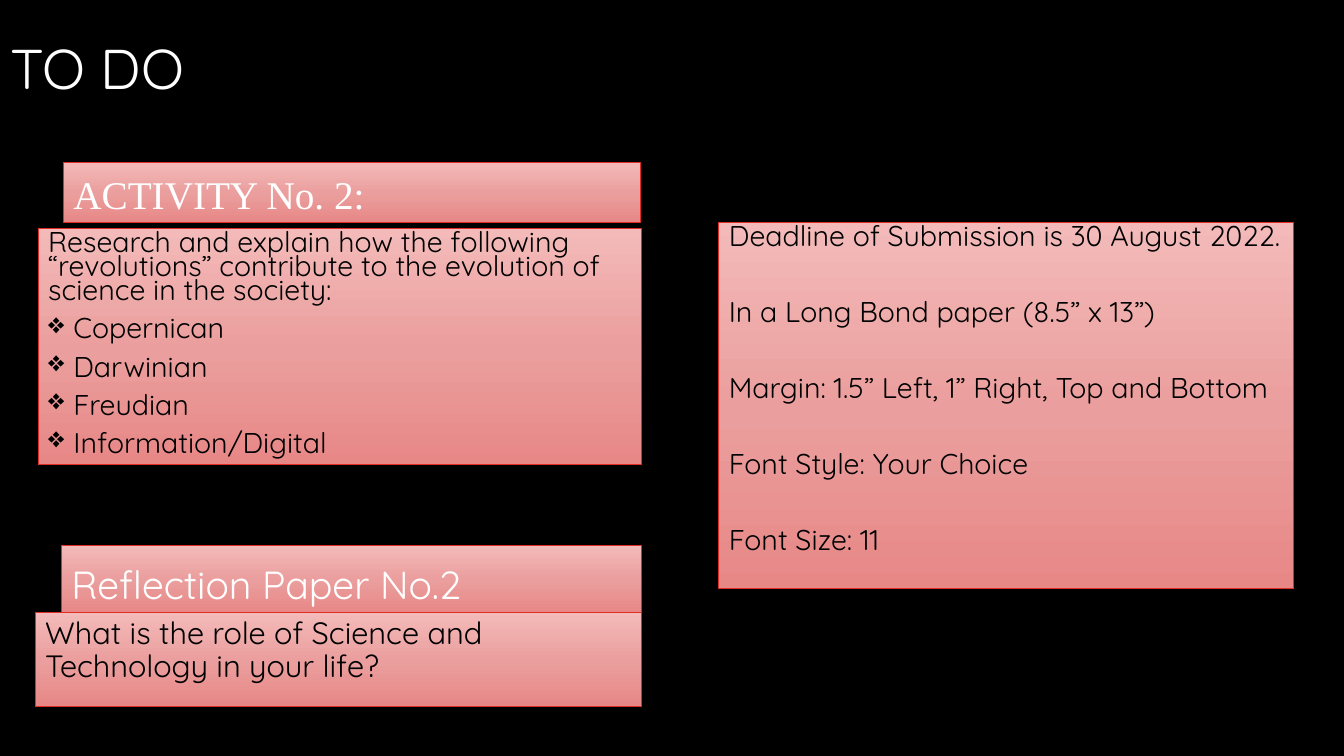
from copy import deepcopy

from lxml import etree
from pptx import Presentation
from pptx.dml.color import RGBColor
from pptx.enum import shapes, text
from pptx.oxml.ns import qn
from pptx.util import Inches, Pt

BLACK = RGBColor(0x00, 0x00, 0x00)
WHITE = RGBColor(0xFF, 0xFF, 0xFF)
RED = RGBColor(0xDF, 0x2E, 0x28)
PINKS = [
    (0, RGBColor(0xF3, 0xBA, 0xB9)),
    (0.52, RGBColor(0xEA, 0x9E, 0x9D)),
    (1, RGBColor(0xE7, 0x88, 0x87)),
]
BODY_FONT = "Quicksand"
SERIF_FONT = "Times New Roman"
TOP, MIDDLE, BOTTOM = (
    text.MSO_ANCHOR.TOP, text.MSO_ANCHOR.MIDDLE, text.MSO_ANCHOR.BOTTOM)


def fill_pink(panel):
    """Apply the three-stop gradient, running from top to bottom."""
    panel.fill.gradient()
    panel.fill.gradient_angle = 270
    stop_list = panel._element.spPr.find(".//" + qn("a:gsLst"))
    stop_list.append(deepcopy(stop_list[-1]))
    for stop, (position, color) in zip(panel.fill.gradient_stops, PINKS):
        stop.position = position
        stop.color.rgb = color


def add_panel(slide, left, top, width, height, anchor=TOP):
    """Add a pink panel and return its text frame."""
    panel = slide.shapes.add_shape(
        shapes.MSO_SHAPE.RECTANGLE,
        Inches(left), Inches(top), Inches(width), Inches(height))
    panel.shadow.inherit = False
    fill_pink(panel)
    panel.line.color.rgb = RED
    panel.line.width = Pt(0.75)
    frame = panel.text_frame
    frame.word_wrap = True
    frame.vertical_anchor = anchor
    return frame


def write(paragraph, words, size, color=BLACK, font=BODY_FONT,
          spacing=0.9, before=10):
    paragraph.alignment = text.PP_ALIGN.LEFT
    paragraph.line_spacing = spacing
    paragraph.space_before = Pt(before)
    run = paragraph.add_run()
    run.text = words
    run.font.name = font
    run.font.size = Pt(size)
    run.font.color.rgb = color


def add_bullet(paragraph, mark="❖"):
    properties = paragraph._p.get_or_add_pPr()
    properties.set("marL", str(Inches(0.25)))
    properties.set("indent", str(-Inches(0.25)))
    etree.SubElement(properties, qn("a:buChar")).set("char", mark)


def add_title(slide, words):
    title = slide.shapes.title
    title.left, title.top = Inches(0), Inches(0)
    title.width, title.height = Inches(9.42), Inches(1.42)
    title.text_frame.vertical_anchor = MIDDLE
    write(title.text_frame.paragraphs[0], words, 40, WHITE, before=0)


def add_heading(slide, words, box, font=BODY_FONT):
    frame = add_panel(slide, *box, anchor=BOTTOM)
    write(frame.paragraphs[0], words, 28, WHITE, font)


def add_activity(slide):
    frame = add_panel(slide, 0.38, 2.27, 5.98, 2.34)
    write(frame.paragraphs[0],
          "Research and explain how the following “revolutions” contribute "
          "to the evolution of science in the society:", 20.4, spacing=0.7)
    for revolution in ("Copernican", "Darwinian", "Freudian",
                       "Information/Digital"):
        paragraph = frame.add_paragraph()
        write(paragraph, revolution, 20.4, spacing=0.7)
        add_bullet(paragraph)


def add_requirements(slide):
    frame = add_panel(slide, 7.13, 2.21, 5.7, 3.63)
    requirements = (
        "Deadline of Submission is 30 August 2022.",
        "In a Long Bond paper (8.5” x 13”)",
        "Margin: 1.5” Left, 1” Right, Top and Bottom",
        "Font Style: Your Choice",
        "Font Size: 11",
    )
    for index, requirement in enumerate(requirements):
        paragraph = frame.add_paragraph() if index else frame.paragraphs[0]
        write(paragraph, requirement, 20.4, spacing=0.7,
              before=37 if index else 10)


def main():
    deck = Presentation()
    deck.slide_width, deck.slide_height = Inches(13.33), Inches(7.5)
    slide = deck.slides.add_slide(deck.slide_layouts[5])
    slide.background.fill.solid()
    slide.background.fill.fore_color.rgb = BLACK

    add_title(slide, "TO DO")
    add_heading(slide, "ACTIVITY No. 2:", (0.63, 1.61, 5.72, 0.6), SERIF_FONT)
    add_activity(slide)
    add_heading(slide, "Reflection Paper No.2", (0.61, 5.41, 5.75, 0.67))
    add_requirements(slide)
    question = add_panel(slide, 0.35, 6.08, 6.01, 0.93)
    write(question.paragraphs[0],
          "What is the role of Science and Technology in your life?", 22)
    deck.save("out.pptx")


if __name__ == "__main__":
    main()
